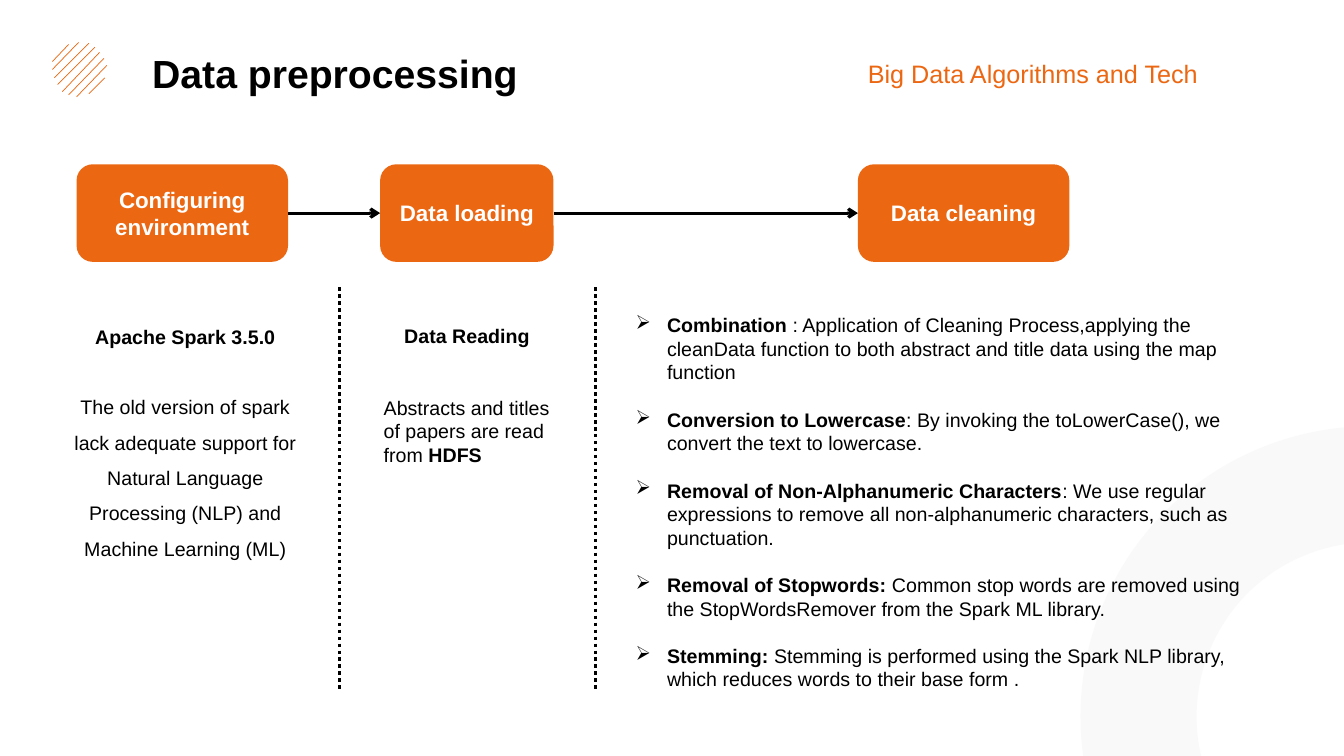
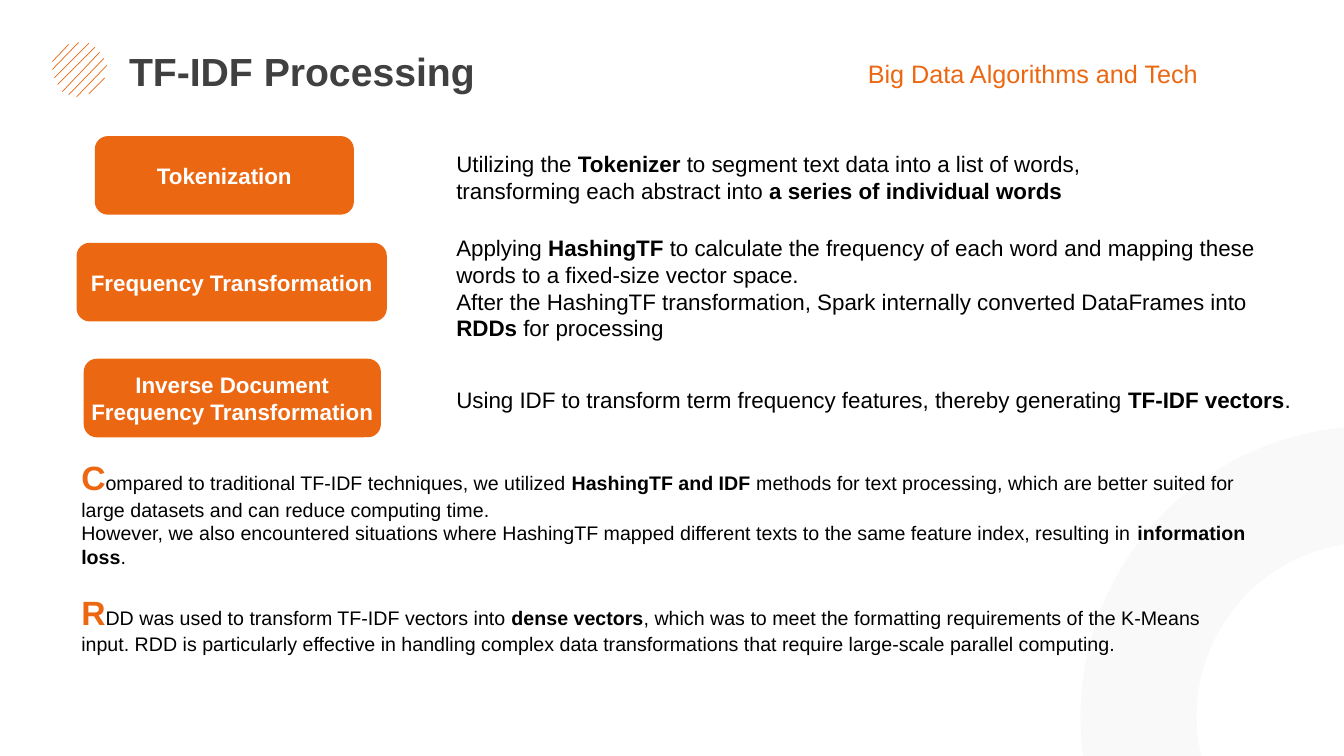
"""Build two slides on data preprocessing and TF-IDF processing."""
from dataclasses import dataclass, field

from lxml.etree import SubElement
from pptx import Presentation
from pptx.dml.color import RGBColor
from pptx.enum.dml import MSO_LINE
from pptx.enum.shapes import MSO_CONNECTOR, MSO_SHAPE
from pptx.enum.text import MSO_ANCHOR, PP_ALIGN
from pptx.oxml.ns import qn
from pptx.util import Cm, Pt


@dataclass(frozen=True)
class Theme:
    font: str = "Arial"
    orange: RGBColor = RGBColor(0xEC, 0x67, 0x12)
    black: RGBColor = RGBColor(0, 0, 0)
    dark: RGBColor = RGBColor(0x40, 0x40, 0x40)
    white: RGBColor = RGBColor(255, 255, 255)
    ring: RGBColor = RGBColor(0xF2, 0xF2, 0xF2)
    styles: dict = field(default_factory=lambda: {
        "title": (28, Theme.black, True),
        "soft title": (28, Theme.dark, True),
        "course": (18, Theme.orange, False),
        "card": (16, Theme.white, True),
        "note": (16, Theme.black, False),
        "note bold": (16, Theme.black, True),
        "body": (14, Theme.black, False),
        "bold": (14, Theme.black, True),
        "cap": (24, Theme.orange, True),
    })


theme = Theme()


def write(sp, paragraphs, align=PP_ALIGN.LEFT, gap=0, spacing=None, wrap=True):
    tf = sp.text_frame
    tf.word_wrap = wrap
    for i, runs in enumerate(paragraphs):
        p = tf.add_paragraph() if i else tf.paragraphs[0]
        p.alignment = align
        if spacing:
            p.line_spacing = spacing
        if i and gap:
            p.space_before = Pt(gap)
        for style, text in runs:
            r = p.add_run()
            r.text = text
            size, color, bold = theme.styles[style]
            r.font.name = theme.font
            r.font.size = Pt(size)
            r.font.bold = bold
            r.font.color.rgb = color
    return tf


def add_line(shapes, ends, color, width):
    sp = shapes.add_connector(MSO_CONNECTOR.STRAIGHT, *map(Cm, ends))
    sp.line.color.rgb = color
    sp.line.width = Pt(width)
    SubElement(sp._element.spPr, qn("a:effectLst"))
    return sp


prs = Presentation()
prs.slide_width, prs.slide_height = Cm(33.87), Cm(19.05)

hatching = [
    (1.32, 1.55, 1.73, 1.12), (1.32, 1.75, 1.98, 1.07),
    (1.37, 1.96, 2.24, 1.09), (1.45, 2.13, 2.39, 1.19),
    (1.57, 2.31, 2.51, 1.32), (1.73, 2.39, 2.62, 1.47),
    (1.93, 2.44, 2.69, 1.65), (2.24, 2.36, 2.64, 1.96),
]
pages = [
    ("title", "Data preprocessing", (2.24, 1.24, 12.4, 1.32), [
        ((1.93, 4.14, 5.33, 2.46), ["Configuring", "environment"]),
        ((9.58, 4.14, 4.37, 2.46), ["Data loading"]),
        ((21.62, 4.14, 5.33, 2.46), ["Data cleaning"]),
    ]),
    ("soft title", "TF-IDF Processing", (2.29, 1.19, 10.64, 1.32), [
        ((2.39, 3.43, 6.53, 1.98), ["Tokenization"]),
        ((1.93, 6.12, 7.82, 1.98), ["Frequency Transformation"]),
        ((2.11, 9.04, 7.49, 1.98), ["Inverse Document", "Frequency Transformation"]),
    ]),
]

slides, cards = [], []
for style, title, title_box, card_list in pages:
    s = prs.slides.add_slide(prs.slide_layouts[6])
    slides.append(s)
    write(s.shapes.add_textbox(*map(Cm, title_box)), [[(style, title)]],
          PP_ALIGN.CENTER, spacing=0.9)
    group = s.shapes.add_group_shape()
    for ends in hatching:
        add_line(group.shapes, ends, theme.orange, 0.5)

    ring = s.shapes.add_shape(MSO_SHAPE.DONUT, Cm(27.23), Cm(10.74), Cm(14.63), Cm(14.63))
    ring.shadow.inherit = False
    ring.adjustments[0] = 0.2
    ring.fill.solid()
    ring.fill.fore_color.rgb = theme.ring
    SubElement(ring._element.spPr.find(".//" + qn("a:srgbClr")), qn("a:alpha"), val="40000")
    ring.line.fill.background()

    write(s.shapes.add_textbox(Cm(21.62), Cm(1.35), Cm(10.06), Cm(1.02)),
          [[("course", "Big Data Algorithms and Tech")]])

    for box, lines in card_list:
        card = s.shapes.add_shape(MSO_SHAPE.ROUNDED_RECTANGLE, *map(Cm, box))
        card.shadow.inherit = False
        card.fill.solid()
        card.fill.fore_color.rgb = theme.orange
        card.line.fill.background()
        tf = write(card, [[("card", line)] for line in lines], PP_ALIGN.CENTER, wrap=False)
        tf.vertical_anchor = MSO_ANCHOR.MIDDLE
        cards.append(card)

s = slides[0]
for start, end in zip(cards[:2], cards[1:3]):
    arrow = add_line(s.shapes, (0, 0, 0, 0), theme.black, 2.25)
    arrow.begin_connect(start, 3)
    arrow.end_connect(end, 1)
    SubElement(arrow._element.spPr.find(qn("a:ln")), qn("a:tailEnd"), type="arrow")

for x in (8.56, 15.01):
    divider = add_line(s.shapes, (x, 7.24, x, 17.35), theme.black, 2.5)
    divider.line.dash_style = MSO_LINE.ROUND_DOT

write(s.shapes.add_textbox(Cm(1.37), Cm(7.77), Cm(6.6), Cm(6.53)), [
    [("bold", "Apache Spark 3.5.0")],
    [("body", "The old version of spark lack adequate support for Natural Language "
              "Processing (NLP) and Machine Learning (ML)")],
], PP_ALIGN.CENTER, gap=25, spacing=1.5)

tf = write(s.shapes.add_textbox(Cm(9.42), Cm(8.05), Cm(4.7), Cm(3.84)), [
    [("bold", "Data Reading")],
    [("body", "Abstracts and titles of papers are read from "), ("bold", "HDFS")],
], gap=34)
tf.paragraphs[0].alignment = PP_ALIGN.CENTER

cleaning_steps = [
    ("Combination ", ": Application of Cleaning Process,applying the cleanData function "
                     "to both abstract and title data using the map function"),
    ("Conversion to Lowercase", ": By invoking the toLowerCase(), we convert the text "
                                "to lowercase."),
    ("Removal of Non-Alphanumeric Characters", ": We use regular expressions to remove all "
                                               "non-alphanumeric characters, such as punctuation."),
    ("Removal of Stopwords: ", "Common stop words are removed using the StopWordsRemover "
                               "from the Spark ML library."),
    ("Stemming: ", "Stemming is performed using the Spark NLP library, which reduces words "
                   "to their base form ."),
]
tf = write(s.shapes.add_textbox(Cm(15.77), Cm(7.77), Cm(15.9), Cm(11.02)),
           [[("bold", name), ("body", text)] for name, text in cleaning_steps], gap=17)
for p in tf.paragraphs:
    pPr = p._p.get_or_add_pPr()
    pPr.set("marL", str(Cm(0.79)))
    pPr.set("indent", str(-Cm(0.79)))
    SubElement(pPr, qn("a:buChar"), char="➢")

s = slides[1]
notes = [
    ((11.25, 3.66, 18.47, 1.63), [
        [("note", "Utilizing the "), ("note bold", "Tokenizer"),
         ("note", " to segment text data into a list of words, transforming each abstract into"),
         ("note bold", " a series of individual words")],
    ]),
    ((11.25, 5.77, 22, 3), [
        [("note", "Applying "), ("note bold", "HashingTF"),
         ("note", " to calculate the frequency of each word and mapping these words "
                  "to a fixed-size vector space.")],
        [("note", "After the HashingTF transformation, Spark internally converted "
                  "DataFrames into "),
         ("note bold", "RDDs"), ("note", " for processing")],
    ]),
    ((11.25, 9.6, 22, 0.94), [
        [("note", "Using IDF to transform term frequency features, thereby generating "),
         ("note bold", "TF-IDF vectors"), ("note", ".")],
    ]),
]
for box, paragraphs in notes:
    write(s.shapes.add_textbox(*map(Cm, box)), paragraphs)

tf = write(s.shapes.add_textbox(Cm(1.8), Cm(11.4), Cm(29.9), Cm(2.39)), [
    [("cap", "C"), ("body", "ompared to traditional TF-IDF techniques, we utilized "),
     ("bold", "HashingTF and IDF"),
     ("body", " methods for text processing, which are better suited for large datasets "
              "and can reduce computing time.")],
    [("body", "However, we also encountered situations where HashingTF mapped different texts "
              "to the same feature index, resulting in "),
     ("bold", "information loss"), ("body", ".")],
    [("cap", "R"), ("body", "DD was used to transform TF-IDF vectors into "),
     ("bold", "dense vectors"),
     ("body", ", which was to meet the formatting requirements of the K-Means input. RDD is "
              "particularly effective in handling complex data transformations that require "
              "large-scale parallel computing.")],
])
tf.paragraphs[2].space_before = Pt(17)

prs.save("out.pptx")
